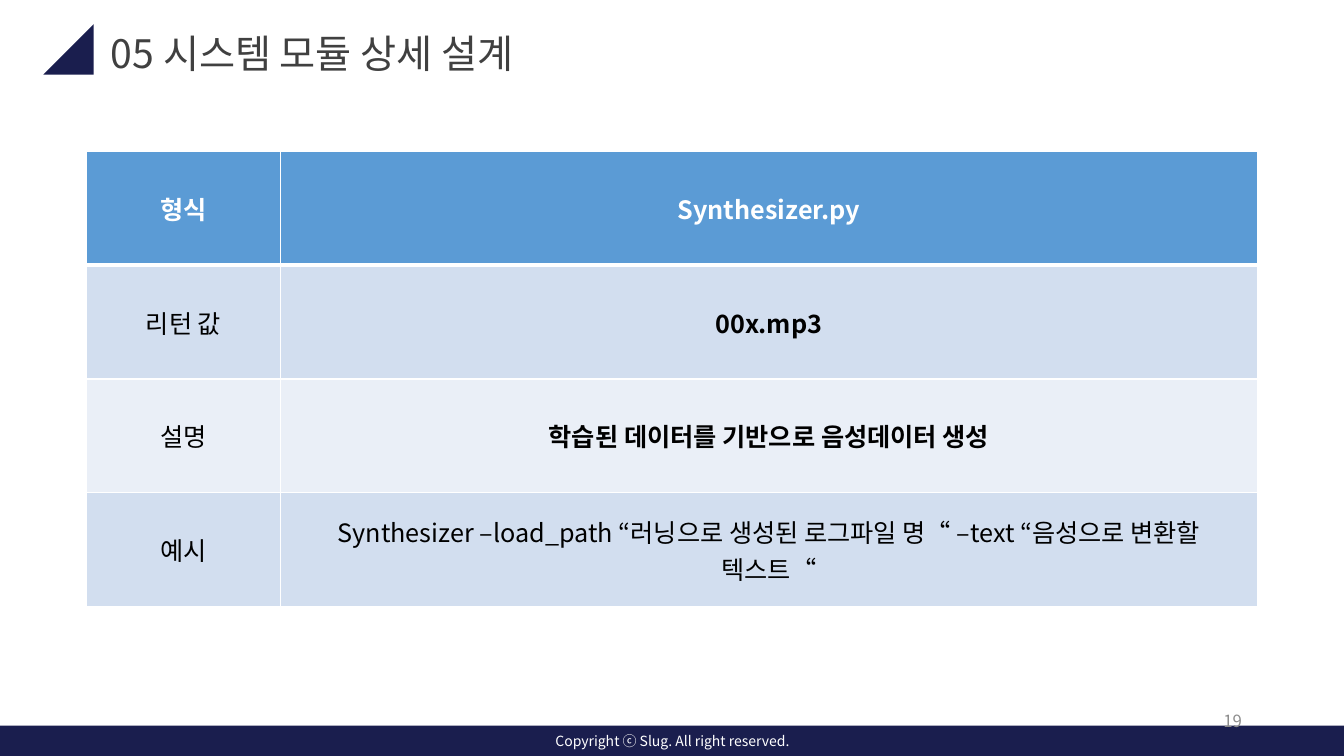
import dataclasses

import lxml.etree
import pptx
import pptx.dml.color
import pptx.enum.shapes
import pptx.enum.text
import pptx.oxml.ns
import pptx.util

ALIGN = pptx.enum.text.PP_ALIGN
ANCHOR = pptx.enum.text.MSO_ANCHOR
SHAPE = pptx.enum.shapes.MSO_SHAPE


@dataclasses.dataclass(frozen=True)
class Theme:
    font: str = "Noto Sans CJK KR"
    navy: str = "1A1E4E"
    blue: str = "5B9BD5"
    bands: tuple = ("D2DEEF", "EAEFF7")
    white: str = "FFFFFF"
    black: str = "000000"
    dark: str = "404040"
    gray: str = "8C8C8C"
    head: int = 28
    body: int = 18
    page: int = 12
    foot: int = 10


def color(code):
    return pptx.dml.color.RGBColor.from_string(code)


def child(parent, tag, **attrs):
    return lxml.etree.SubElement(parent, pptx.oxml.ns.qn(tag), attrs)


class Deck:
    COLS, ROWS = 40, 30

    def __init__(self, theme):
        self.theme = theme
        self.file = pptx.Presentation()
        self.file.slide_width = pptx.util.Inches(13.33)
        self.file.slide_height = pptx.util.Inches(7.5)
        self.slide = self.file.slides.add_slide(self.file.slide_layouts[5])

    def wide(self, cols):
        return int(self.file.slide_width * cols / self.COLS)

    def high(self, rows):
        return int(self.file.slide_height * rows / self.ROWS)

    def area(self, x, y, w, h):
        return self.wide(x), self.high(y), self.wide(w), self.high(h)

    def words(self, frame, text, size, ink, align, bold=False):
        frame.text = text
        frame.word_wrap = True
        line = frame.paragraphs[0]
        line.alignment = align
        for run in line.runs:
            run.font.name = self.theme.font
            run.font.size = pptx.util.Pt(size)
            run.font.bold = bold
            run.font.color.rgb = color(ink)
            child(run.font._element, "a:ea", typeface=self.theme.font)

    def title(self, text, *area):
        box = self.slide.shapes.title
        box.left, box.top, box.width, box.height = self.area(*area)
        self.words(box.text_frame, text, self.theme.head, self.theme.dark, ALIGN.LEFT)
        box.text_frame.vertical_anchor = ANCHOR.TOP
        box.text_frame.auto_size = pptx.enum.text.MSO_AUTO_SIZE.NONE

    def label(self, text, size, ink, align, anchor, *area):
        box = self.slide.shapes.add_textbox(*self.area(*area))
        self.words(box.text_frame, text, size, ink, align)
        box.text_frame.vertical_anchor = anchor

    def shape(self, kind, turn, *area):
        item = self.slide.shapes.add_shape(kind, *self.area(*area))
        item.rotation = turn
        item.shadow.inherit = False
        item.fill.solid()
        item.fill.fore_color.rgb = color(self.theme.navy)
        item.line.fill.background()

    def border(self, cell, row):
        props = cell._tc.get_or_add_tcPr()
        thick = {0: "a:lnB", 1: "a:lnT"}.get(row)
        for side in ("a:lnL", "a:lnR", "a:lnT", "a:lnB"):
            width = pptx.util.Pt(3 if side == thick else 1)
            edge = child(props, side, w=str(int(width)))
            child(child(edge, "a:solidFill"), "a:srgbClr", val=self.theme.white)

    def table(self, rows, bold, x, y, widths, height):
        size = len(rows), len(widths)
        area = self.area(x, y, sum(widths), height * len(rows))
        grid = self.slide.shapes.add_table(*size, *area).table
        for col, width in zip(grid.columns, widths):
            col.width = self.wide(width)
        for r, row in enumerate(rows):
            grid.rows[r].height = self.high(height)
            fill = self.theme.bands[(r - 1) % 2] if r else self.theme.blue
            ink = self.theme.black if r else self.theme.white
            for c, text in enumerate(row):
                cell = grid.cell(r, c)
                self.words(cell.text_frame, text, self.theme.body, ink,
                           ALIGN.CENTER, (r, c) in bold)
                cell.vertical_anchor = ANCHOR.MIDDLE
                self.border(cell, r)
                cell.fill.solid()
                cell.fill.fore_color.rgb = color(fill)


def main():
    theme = Theme()
    deck = Deck(theme)
    deck.shape(SHAPE.RECTANGLE, 0, 0, 28.8, 40, 1.2)
    deck.label("Copyright ⓒ Slug. All right reserved.", theme.foot, theme.white,
               ALIGN.CENTER, ANCHOR.TOP, 14.7, 28.88, 10.62, 1.08)
    deck.shape(SHAPE.RIGHT_TRIANGLE, 270, 1.29, 0.96, 1.5, 2)
    deck.title("05 시스템 모듈 상세 설계", 3, 0.96, 23.28, 2.28)
    deck.label("19", theme.page, theme.gray, ALIGN.RIGHT, ANCHOR.MIDDLE,
               28.26, 27.8, 9, 1.6)
    rows = [
        ("형식", "Synthesizer.py"),
        ("리턴 값", "00x.mp3"),
        ("설명", "학습된 데이터를 기반으로 음성데이터 생성"),
        ("예시", "Synthesizer –load_path “러닝으로 생성된 로그파일 명“ –text “음성으로 변환할 텍스트“"),
    ]
    bold = {(0, 0), (0, 1), (1, 1), (2, 1)}
    deck.table(rows, bold, 2.57, 6, (5.78, 29.07), 4.52)
    deck.file.save("out.pptx")


if __name__ == "__main__":
    main()
